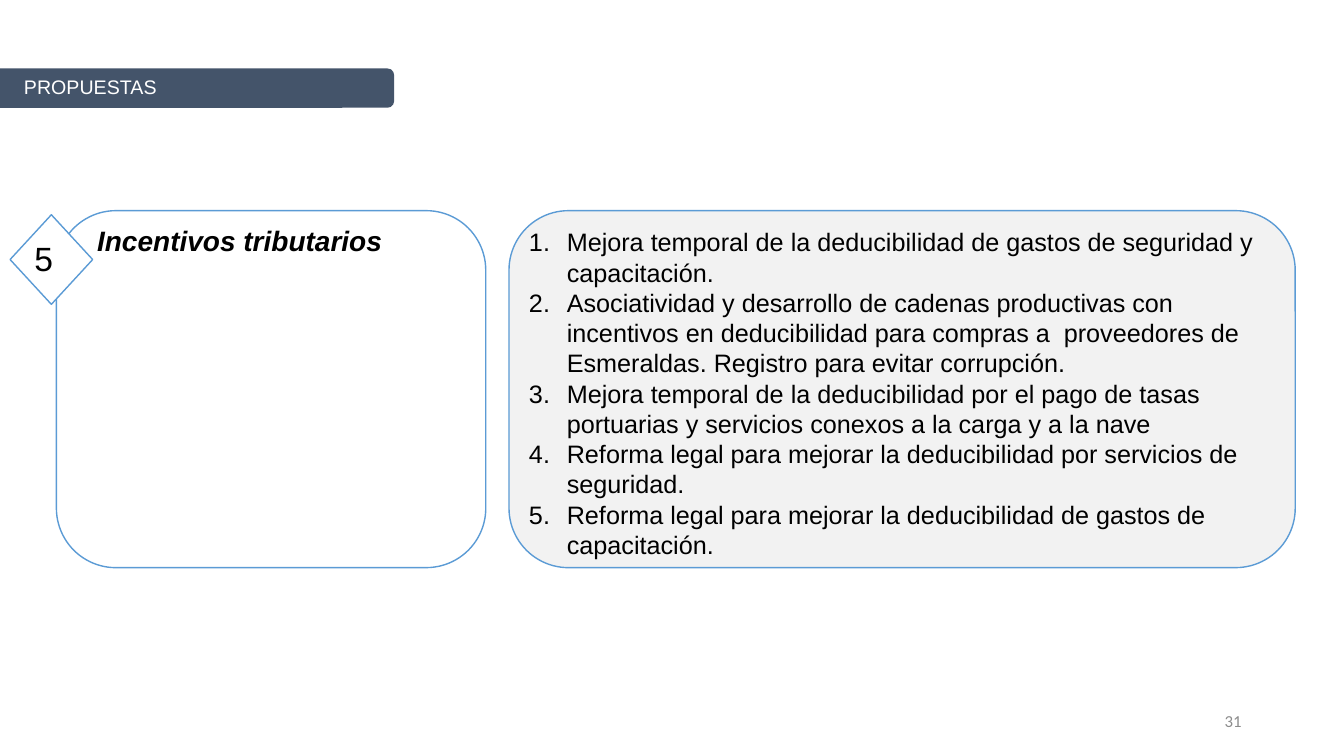
from dataclasses import dataclass

from lxml import etree
from pptx import Presentation
from pptx.dml.color import RGBColor
from pptx.enum.shapes import MSO_SHAPE
from pptx.enum.text import MSO_ANCHOR, PP_ALIGN
from pptx.oxml.ns import qn
from pptx.util import Pt

BANNER = MSO_SHAPE.ROUND_2_SAME_RECTANGLE
PANEL = MSO_SHAPE.ROUNDED_RECTANGLE
DIAMOND = MSO_SHAPE.DIAMOND
LEFT, CENTER, RIGHT = PP_ALIGN.LEFT, PP_ALIGN.CENTER, PP_ALIGN.RIGHT
TOP, MIDDLE = MSO_ANCHOR.TOP, MSO_ANCHOR.MIDDLE


@dataclass(frozen=True)
class Theme:
    slate: str = "44546A"
    blue: str = "5B9BD5"
    white: str = "FFFFFF"
    pale: str = "F2F2F2"
    black: str = "000000"
    grey: str = "8C8C8C"
    body_font: str = "Arial"
    number_font: str = "Calibri"
    banner_size: int = 14
    title_size: int = 20
    badge_size: int = 24
    list_size: int = 18
    page_size: int = 12


class SlideBuilder:
    def __init__(self, slide, theme):
        self.slide = slide
        self.theme = theme

    def shape(self, kind, box, fill, line=None, rotation=0):
        shape = self.slide.shapes.add_shape(kind, *map(Pt, box))
        shape.shadow.inherit = False
        shape.rotation = rotation
        shape.fill.solid()
        shape.fill.fore_color.rgb = RGBColor.from_string(fill)
        if line:
            shape.line.color.rgb = RGBColor.from_string(line)
            shape.line.width = Pt(1)
        else:
            shape.line.fill.background()

    def text(self, box, lines, size, color=None, font=None, align=LEFT,
             anchor=TOP, numbered=False, **styles):
        frame = self.slide.shapes.add_textbox(*map(Pt, box)).text_frame
        frame.word_wrap = True
        frame.vertical_anchor = anchor
        formats = {"size": Pt(size), "name": font or self.theme.body_font, **styles}
        for index, line in enumerate(lines):
            paragraph = frame.add_paragraph() if index else frame.paragraphs[0]
            paragraph.alignment = align
            if numbered:
                self.number(paragraph)
            run = paragraph.add_run()
            run.text = line
            for name, value in formats.items():
                setattr(run.font, name, value)
            run.font.color.rgb = RGBColor.from_string(color or self.theme.black)

    def number(self, paragraph):
        properties = paragraph._p.get_or_add_pPr()
        properties.set("marL", str(Pt(27)))
        properties.set("indent", str(Pt(-27)))
        etree.SubElement(properties, qn("a:buAutoNum"), type="arabicPeriod")


def main():
    presentation = Presentation()
    presentation.slide_width, presentation.slide_height = Pt(960), Pt(540)
    theme = Theme()
    slide = presentation.slides.add_slide(presentation.slide_layouts[6])
    builder = SlideBuilder(slide, theme)

    # Section banner, turned so that its rounded end points right
    builder.shape(BANNER, (126.7, -77.8, 28.1, 281.5), theme.slate, rotation=90)
    builder.text((10, 50, 140, 24), ["PROPUESTAS"], theme.banner_size, theme.white)

    # Topic panel with its numbered badge
    builder.shape(PANEL, (40.3, 150.5, 306.7, 255), theme.white, theme.blue)
    builder.shape(DIAMOND, (7.2, 153.4, 59, 64), theme.white, theme.blue)
    builder.text((62.3, 156.2, 268.6, 31.7), ["Incentivos tributarios"],
                 theme.title_size, bold=True, italic=True)
    builder.text((11.3, 166.3, 40, 36), ["5"], theme.badge_size, align=CENTER)

    # Proposal list
    proposals = [
        "Mejora temporal de la deducibilidad de gastos de seguridad y capacitación.",
        "Asociatividad y desarrollo de cadenas productivas con incentivos en "
        "deducibilidad para compras a  proveedores de Esmeraldas. "
        "Registro para evitar corrupción.",
        "Mejora temporal de la deducibilidad por el pago de tasas portuarias y "
        "servicios conexos a la carga y a la nave",
        "Reforma legal para mejorar la deducibilidad por servicios de seguridad.",
        "Reforma legal para mejorar la deducibilidad de gastos de capacitación.",
    ]
    builder.shape(PANEL, (363.6, 150.5, 561.6, 255), theme.pale, theme.blue)
    builder.text((370.8, 158.4, 551.5, 247), proposals, theme.list_size,
                 numbered=True)

    # Page number
    builder.text((678, 500.4, 216, 28.8), ["31"], theme.page_size, theme.grey,
                 theme.number_font, RIGHT, MIDDLE)

    presentation.save("out.pptx")


if __name__ == "__main__":
    main()
